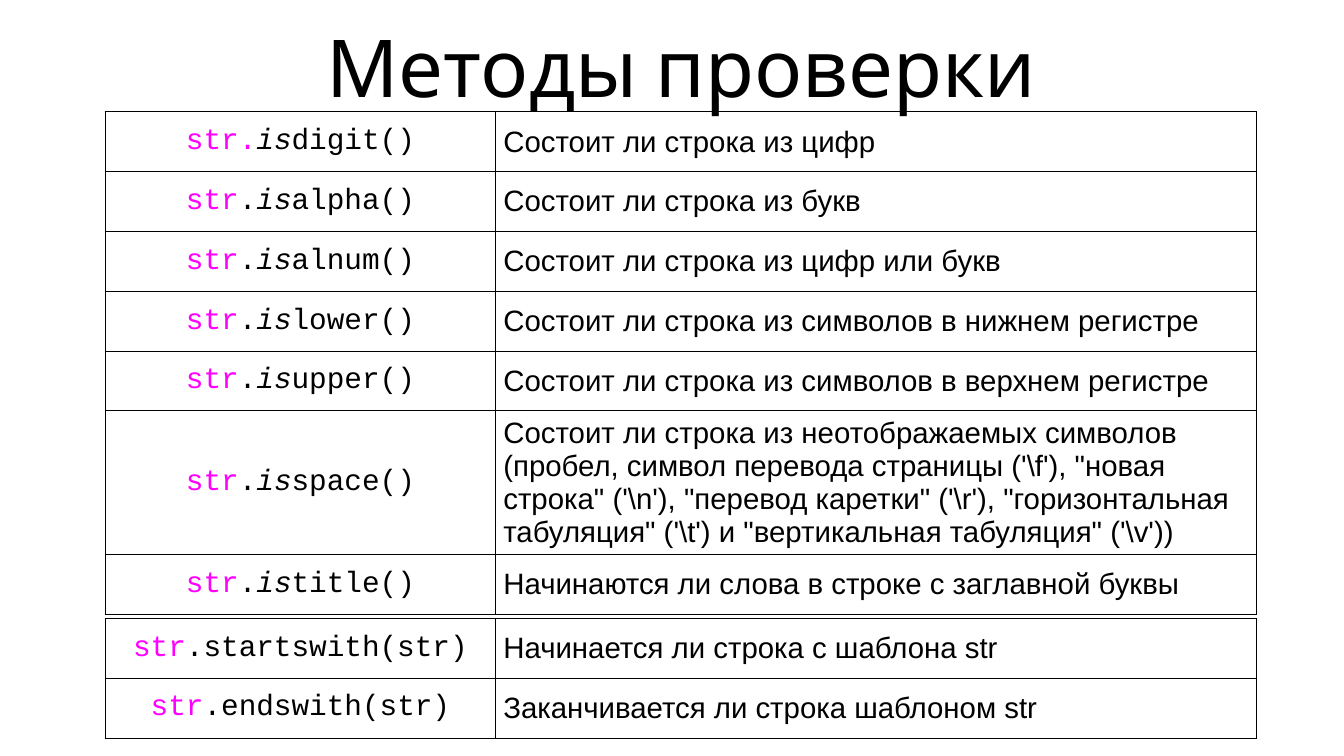
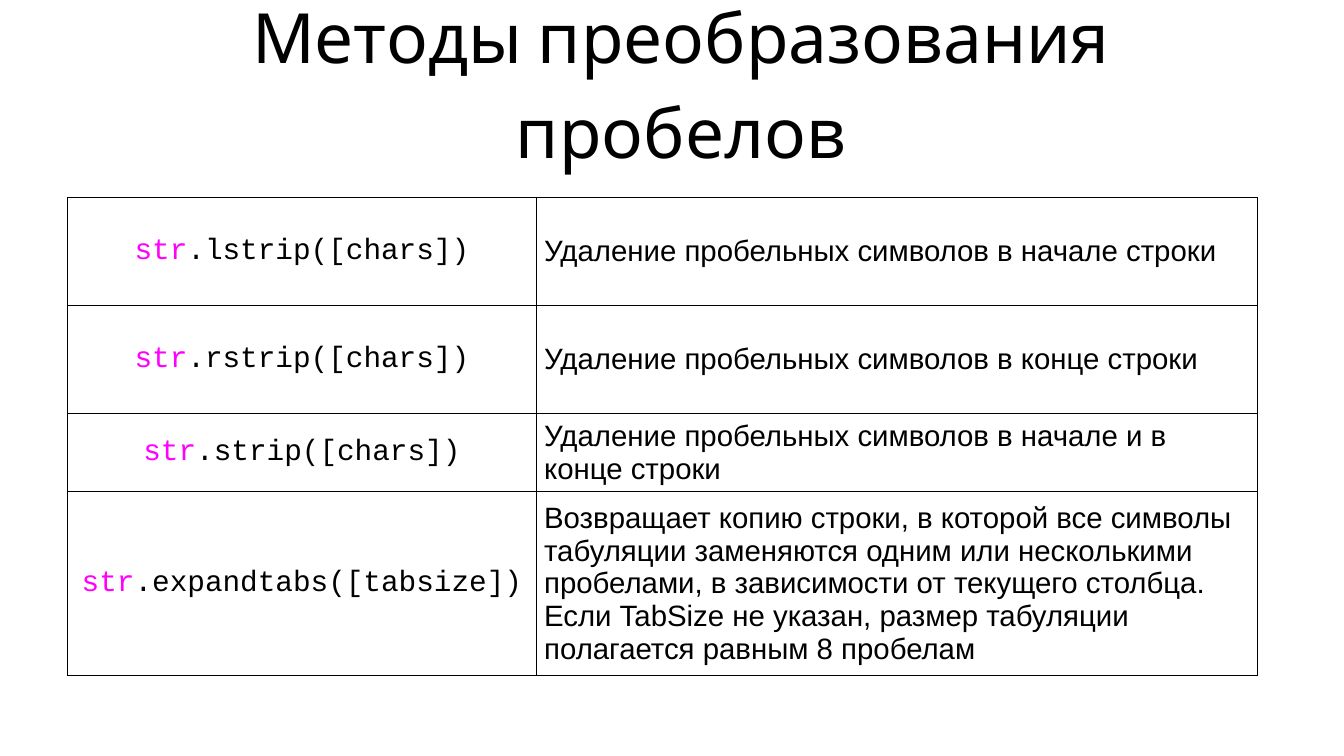
from lxml.etree import SubElement
from pptx import Presentation
from pptx.dml.color import RGBColor
from pptx.enum.text import MSO_ANCHOR, PP_ALIGN
from pptx.oxml.ns import qn
from pptx.util import Cm, Pt

COLORS = {"text": "000000", "object": "FF00FF", "border": "000000"}
FONTS = {"title": "Cabin", "code": "Courier New", "body": "Arial"}
TABLE_SIZE = 28
LEFT, WIDTH = 3.53, 38.71
ROW = 2.01

# Code cells are (object, italic prefix, rest of the call).
CHECKS = [
    (("str.", "is", "digit()"), "Состоит ли строка из цифр", ROW),
    (("str", ".", "is", "alpha()"), "Состоит ли строка из букв", ROW),
    (("str", ".", "is", "alnum()"), "Состоит ли строка из цифр или букв", ROW),
    (("str", ".", "is", "lower()"), "Состоит ли строка из символов в нижнем регистре", ROW),
    (("str", ".", "is", "upper()"), "Состоит ли строка из символов в верхнем регистре", ROW),
    (("str", ".", "is", "space()"),
     "Состоит ли строка из неотображаемых символов (пробел, символ перевода "
     "страницы ('\\f'), \"новая строка\" ('\\n'), \"перевод каретки\" ('\\r'), "
     "\"горизонтальная табуляция\" ('\\t') и \"вертикальная табуляция\" ('\\v'))", 4.83),
    (("str", ".", "is", "title()"), "Начинаются ли слова в строке с заглавной буквы", ROW),
]
TEMPLATES = [
    (("str", ".startswith(str)"), "Начинается ли строка с шаблона str", ROW),
    (("str", ".endswith(str)"), "Заканчивается ли строка шаблоном str", ROW),
]
SPACES = [
    (("str", ".lstrip([chars])"), "Удаление пробельных символов в начале строки", 3.63),
    (("str", ".rstrip([chars])"), "Удаление пробельных символов в конце строки", 3.63),
    (("str", ".strip([chars])"), "Удаление пробельных символов в начале и в конце строки", 2.46),
    (("str", ".expandtabs([tabsize])"),
     "Возвращает копию строки, в которой все символы табуляции заменяются одним "
     "или несколькими пробелами, в зависимости от текущего столбца. Если TabSize "
     "не указан, размер табуляции полагается равным 8 пробелам", 5.74),
]

# Title, its top and size, then tables as (left, top, column widths, rows).
SLIDES = [
    ("Методы проверки", 0.46, 76, [
        (LEFT, 3.76, (13.13, 25.55), CHECKS),
        (LEFT, 20.78, (13.13, 25.55), TEMPLATES),
    ]),
    ("Методы преобразования пробелов", 1.09, 66, [
        (2.26, 6.63, (15.77, 24.21), SPACES),
    ]),
]


def add_run(p, text, font, size, color="text", italic=False):
    r = p.add_run()
    r.text = text
    r.font.name = FONTS[font]
    r.font.size = Pt(size)
    r.font.italic = italic
    r.font.color.rgb = RGBColor.from_string(COLORS[color])


def style_cell(cell):
    """Give a cell thin borders, no fill and centred height."""
    tcPr = cell._tc.get_or_add_tcPr()
    for side in ("lnL", "lnR", "lnT", "lnB"):
        ln = SubElement(tcPr, qn(f"a:{side}"), w=str(Pt(1)))
        fill = SubElement(ln, qn("a:solidFill"))
        SubElement(fill, qn("a:srgbClr"), val=COLORS["border"])
    cell.fill.background()
    cell.vertical_anchor = MSO_ANCHOR.MIDDLE


prs = Presentation()
prs.slide_width, prs.slide_height = Cm(45.16), Cm(25.4)

for title, title_top, title_size, tables in SLIDES:
    s = prs.slides.add_slide(prs.slide_layouts[6])

    for left, top, widths, rows in tables:
        height = sum(row[2] for row in rows)
        table = s.shapes.add_table(len(rows), 2, Cm(left), Cm(top),
                                   Cm(sum(widths)), Cm(height)).table
        table.first_row = table.horz_banding = False
        for column, width in zip(table.columns, widths):
            column.width = Cm(width)
        for i, (code, meaning, row_height) in enumerate(rows):
            table.rows[i].height = Cm(row_height)
            code_cell, meaning_cell = table.cell(i, 0), table.cell(i, 1)
            style_cell(code_cell)
            style_cell(meaning_cell)
            p = code_cell.text_frame.paragraphs[0]
            p.alignment = PP_ALIGN.CENTER
            for j, part in enumerate(code):
                add_run(p, part, "code", TABLE_SIZE,
                        "text" if j else "object", part == "is")
            add_run(meaning_cell.text_frame.paragraphs[0], meaning, "body", TABLE_SIZE)

    tf = s.shapes.add_textbox(Cm(LEFT), Cm(title_top), Cm(WIDTH), Cm(3)).text_frame
    tf.word_wrap = True
    tf.vertical_anchor = MSO_ANCHOR.MIDDLE
    tf.margin_left = tf.margin_right = tf.margin_top = tf.margin_bottom = Cm(0.1)
    p = tf.paragraphs[0]
    p.alignment = PP_ALIGN.CENTER
    p.line_spacing = 1.15
    add_run(p, title, "title", title_size)

prs.save("out.pptx")
